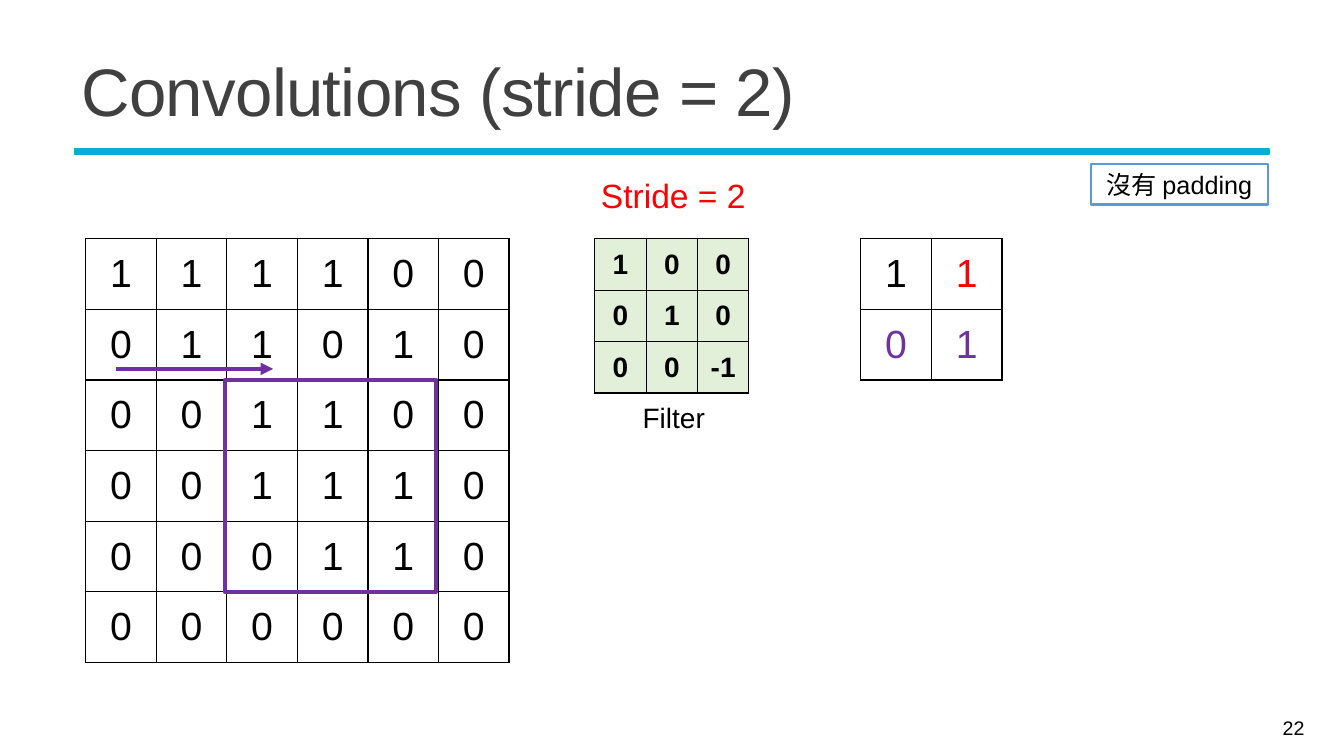
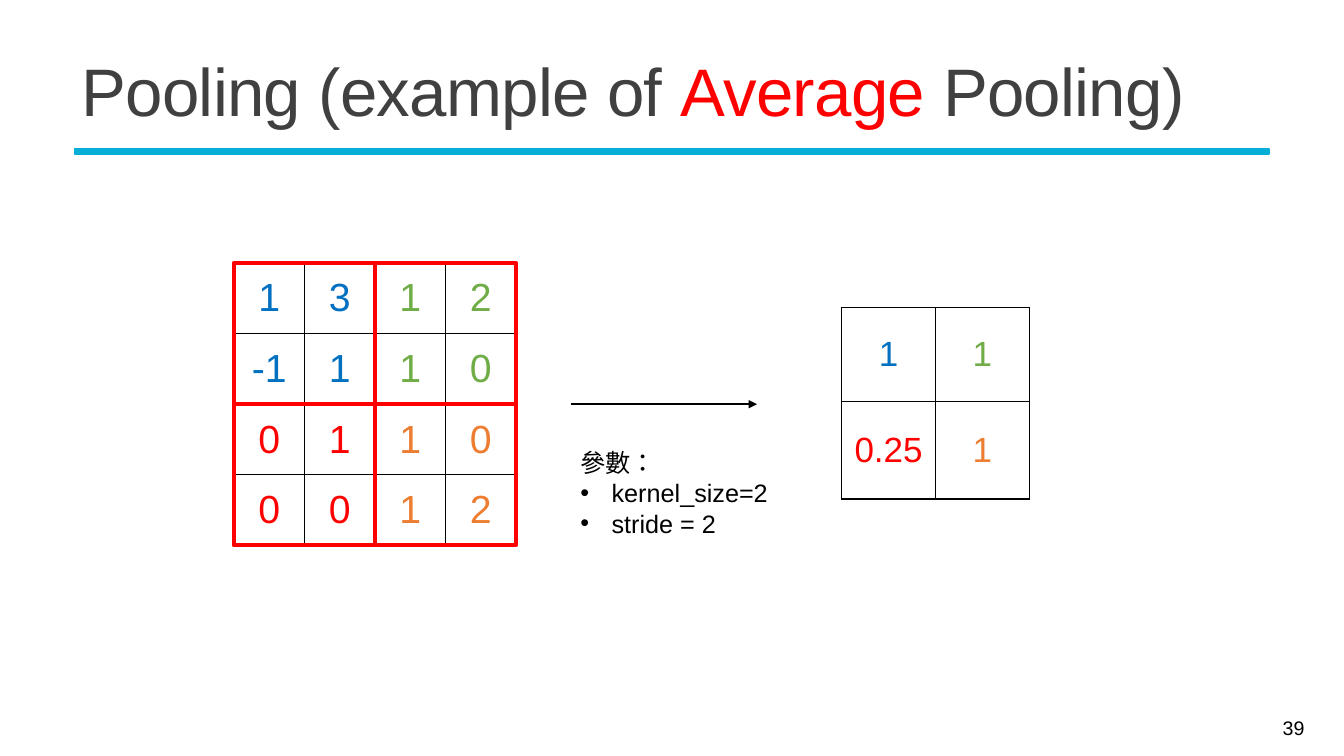
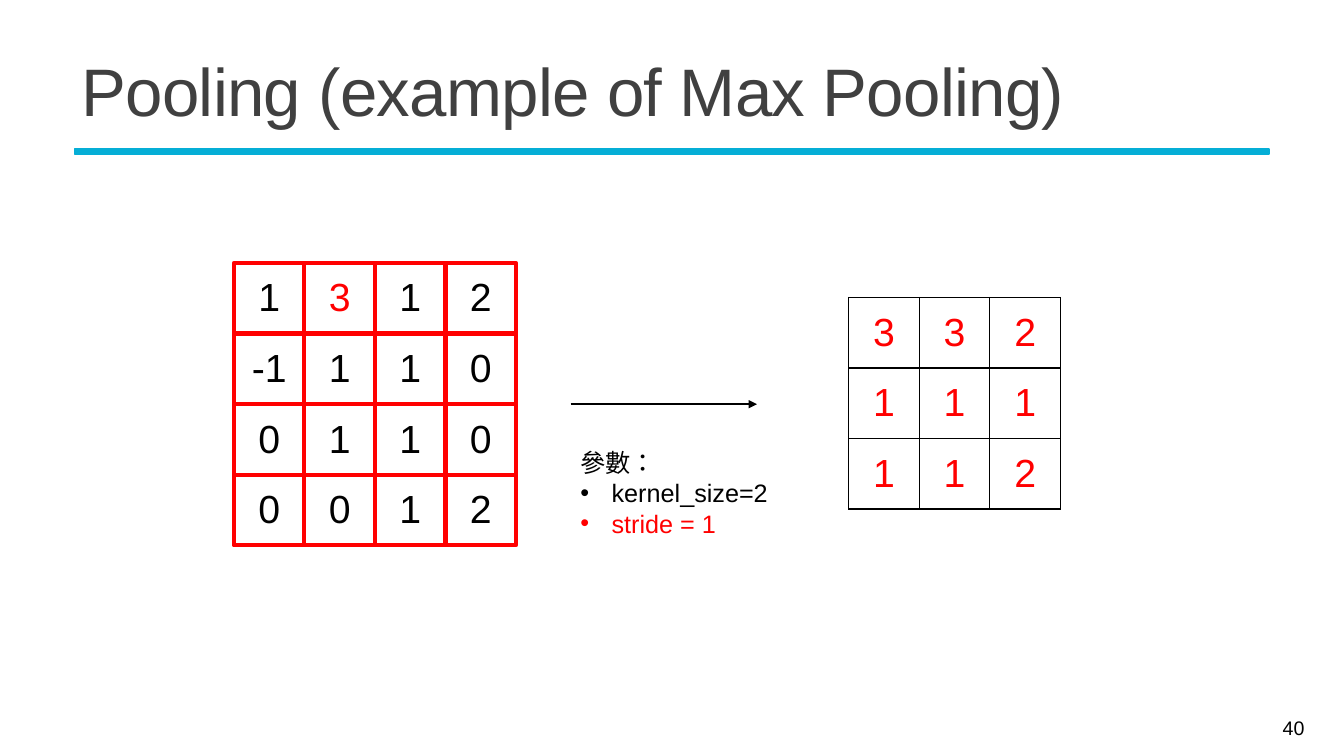
"""Build three slides on convolution stride and on average and max pooling."""
from lxml import etree
from pptx import Presentation
from pptx.dml import color
from pptx.enum import shapes, text
from pptx.oxml import ns
from pptx.util import Inches, Pt

LATIN, ASIAN = "Arial", "Noto Sans CJK TC"
BLACK, RED, PURPLE = "000000", "FF0000", "7030A0"
BLUE, GREEN, ORANGE = "0070C0", "70AD47", "ED7D31"
TITLE, BAND, FILTER, FRAME = "404040", "05AED6", "E2F0D9", "5B9BD5"
INKS = {"K": BLACK, "R": RED, "P": PURPLE, "B": BLUE, "G": GREEN, "O": ORANGE}
CELL = 0.7
EMPTY = "_"
LEFT, CENTER, RIGHT = text.PP_ALIGN.LEFT, text.PP_ALIGN.CENTER, text.PP_ALIGN.RIGHT

IMAGE = ["1 1 1 1 0 0", "0 1 1 0 1 0", "0 0 1 1 0 0",
         "0 0 1 1 1 0", "0 0 0 1 1 0", "0 0 0 0 0 0"]
KERNEL = ["1 0 0", "0 1 0", "0 0 -1"]
STRIDED = ["1 1 _ _", "0 1 _ _", "_ _ _ _", "_ _ _ _"]
POOL_INPUT = ["1 3 1 2", "-1 1 1 0", "0 1 1 0", "0 0 1 2"]
POOL_ORIGIN = (2.32, 2.61)

POOLINGS = [
    dict(title=[("Pooling (example of ", TITLE), ("Average", RED), (" Pooling)", TITLE)],
         number="39", stride=2, stride_ink=BLACK,
         inks=["BBGG", "BBGG", "RROO", "RROO"],
         output=dict(origin=(8.35, 3.05), rows=["1 1", "0.25 1"], inks=["BG", "RO"],
                     size=25, width=0.93, heights=[0.93, 0.97], margins=(0.12, 0.06))),
    dict(title=[("Pooling (example of Max Pooling)", TITLE)],
         number="40", stride=1, stride_ink=RED,
         inks=["KRKK", "KKKK", "KKKK", "KKKK"],
         output=dict(origin=(8.42, 2.95), rows=["3 3 2", "1 1 1", "1 1 2"],
                     inks=["RRR"] * 3)),
]


def rgb(value):
    """Turn a hex string into a colour."""
    return color.RGBColor.from_string(value)


def add_child(parent, tag, **attributes):
    """Append a DrawingML element."""
    return etree.SubElement(parent, ns.qn(tag), attributes)


def add_runs(para, parts, size, bold=False):
    """Write coloured runs into a paragraph."""
    for words, ink in parts:
        span = para.add_run()
        span.text = words
        span.font.name = LATIN
        span.font.size = Pt(size)
        span.font.bold = bold
        span.font.color.rgb = rgb(ink)
        span.font._element.set("lang", "zh-TW")
        add_child(span.font._element, "a:ea", typeface=ASIAN)


def add_text(page, area, parts, size, align=CENTER, anchor=text.MSO_ANCHOR.TOP):
    """Add a one-paragraph text box."""
    box = page.shapes.add_textbox(*map(Inches, area))
    frame = box.text_frame
    frame.word_wrap = True
    frame.vertical_anchor = anchor
    frame.paragraphs[0].alignment = align
    add_runs(frame.paragraphs[0], parts, size)
    return box


def add_rect(page, area, line, width, fill=None):
    """Add a rectangle with an outline and an optional fill."""
    box = page.shapes.add_shape(shapes.MSO_SHAPE.RECTANGLE, *map(Inches, area))
    box.shadow.inherit = False
    if fill:
        box.fill.solid()
        box.fill.fore_color.rgb = rgb(fill)
    else:
        box.fill.background()
    box.line.color.rgb = rgb(line)
    box.line.width = Pt(width)
    return box


def add_arrow(page, start, end, ink, width):
    """Add a straight arrow."""
    arrow = page.shapes.add_connector(
        shapes.MSO_CONNECTOR.STRAIGHT, *map(Inches, start + end))
    arrow.line.color.rgb = rgb(ink)
    arrow.line.width = Pt(width)
    add_child(arrow.line._get_or_add_ln(), "a:tailEnd", type="triangle")
    add_child(arrow._element.spPr, "a:effectLst")


def add_borders(cell):
    """Draw a thin border around a cell."""
    for side in ("a:lnL", "a:lnR", "a:lnT", "a:lnB"):
        border = add_child(cell._tc.get_or_add_tcPr(), side, w=str(Pt(1)))
        add_child(add_child(border, "a:solidFill"), "a:srgbClr", val=BLACK)


def add_grid(page, origin, rows, inks=None, size=28, width=CELL, heights=None,
             fill=None, bold=False, margins=(0.09, 0.05)):
    """Add a table of centred numbers, with borders around the filled cells."""
    values = [row.split() for row in rows]
    heights = heights or [width] * len(values)
    columns = len(values[0])
    frame = page.shapes.add_table(
        len(values), columns, *map(Inches, origin + (width * columns, sum(heights))))
    table = frame.table
    table.first_row = table.horz_banding = False
    add_style = table._tbl.tblPr.find(ns.qn("a:tableStyleId"))
    add_style.text = "{2D5ABB26-0587-4C30-8999-92F81FD0307C}"
    for column in table.columns:
        column.width = Inches(width)
    for r, row in enumerate(values):
        table.rows[r].height = Inches(heights[r])
        for c, value in enumerate(row):
            cell = table.cell(r, c)
            cell.margin_left = cell.margin_right = Inches(margins[0])
            cell.margin_top = cell.margin_bottom = Inches(margins[1])
            cell.vertical_anchor = text.MSO_ANCHOR.MIDDLE
            if value != EMPTY:
                add_borders(cell)
                para = cell.text_frame.paragraphs[0]
                para.alignment = CENTER
                add_runs(para, [(value, INKS[inks[r][c]] if inks else BLACK)], size, bold)
            if fill:
                cell.fill.solid()
                cell.fill.fore_color.rgb = rgb(fill)
            else:
                cell.fill.background()


def add_window(page, origin, row, column, span, ink):
    """Outline a square of cells on a grid."""
    left, top = origin[0] + column * CELL, origin[1] + row * CELL
    add_rect(page, (left, top, span * CELL, span * CELL), ink, 3)


def add_page(deck, title, number):
    """Add a slide with its title, band and page number."""
    page = deck.slides.add_slide(deck.slide_layouts[6])
    add_rect(page, (0.74, 1.48, 11.85, 0.05), BAND, 1.25, BAND)
    box = add_text(page, (0.71, 0.39, 11.94, 1.13), title, 48, LEFT, text.MSO_ANCHOR.MIDDLE)
    para = box.text_frame.paragraphs[0]
    para.line_spacing = 0.85
    for span in para.runs:
        span.font._element.set("spc", "-50")
    add_text(page, (11.61, 7.02, 1.43, 0.4), [(number, BLACK)], 14, RIGHT,
             text.MSO_ANCHOR.MIDDLE)
    return page


def add_parameters(page, stride, ink):
    """List the pooling parameters."""
    box = add_text(page, (5.66, 4.39, 3.01, 1.01), [("參數：", BLACK)], 18, LEFT)
    for words, shade in (("kernel_size=2", BLACK), (f"stride = {stride}", ink)):
        para = box.text_frame.add_paragraph()
        properties = para._p.get_or_add_pPr()
        properties.set("marL", str(Inches(0.31)))
        properties.set("indent", str(-Inches(0.31)))
        add_child(properties, "a:buFont", typeface=LATIN)
        add_child(properties, "a:buChar", char="•")
        add_runs(para, [(words, shade)], 18)


def build_stride(deck):
    """Build the strided convolution slide."""
    page = add_page(deck, [("Convolutions (stride = 2)", TITLE)], "22")
    add_grid(page, (0.85, 2.37), IMAGE)
    add_grid(page, (5.9, 2.37), KERNEL, size=20, width=0.51, fill=FILTER, bold=True,
             margins=(0.07, 0.03))
    add_grid(page, (8.54, 2.37), STRIDED, ["KR", "PP"])
    add_window(page, (0.83, 2.37), 2, 2, 3, PURPLE)
    add_arrow(page, (1.15, 3.66), (2.71, 3.66), PURPLE, 3)
    add_text(page, (5.92, 3.92, 1.53, 0.44), [("Filter", BLACK)], 20)
    add_text(page, (5.8, 1.69, 1.76, 0.5), [("Stride = 2", RED)], 24)
    label = add_rect(page, (10.82, 1.63, 1.76, 0.4), FRAME, 1.5)
    add_runs(label.text_frame.paragraphs[0], [("沒有 padding", BLACK)], 18)


def build_pooling(deck, pooling):
    """Build a pooling slide."""
    page = add_page(deck, pooling["title"], pooling["number"])
    add_grid(page, POOL_ORIGIN, POOL_INPUT, pooling["inks"])
    add_grid(page, **pooling["output"])
    add_arrow(page, (5.66, 4.01), (7.51, 4.01), BLACK, 1.5)
    add_parameters(page, pooling["stride"], pooling["stride_ink"])
    steps = range(0, 3, pooling["stride"])
    for row in steps:
        for column in steps:
            add_window(page, POOL_ORIGIN, row, column, 2, RED)


def main():
    """Build and save the deck."""
    deck = Presentation()
    deck.slide_width, deck.slide_height = Inches(40 / 3), Inches(7.5)
    build_stride(deck)
    for pooling in POOLINGS:
        build_pooling(deck, pooling)
    deck.save("out.pptx")


if __name__ == "__main__":
    main()
